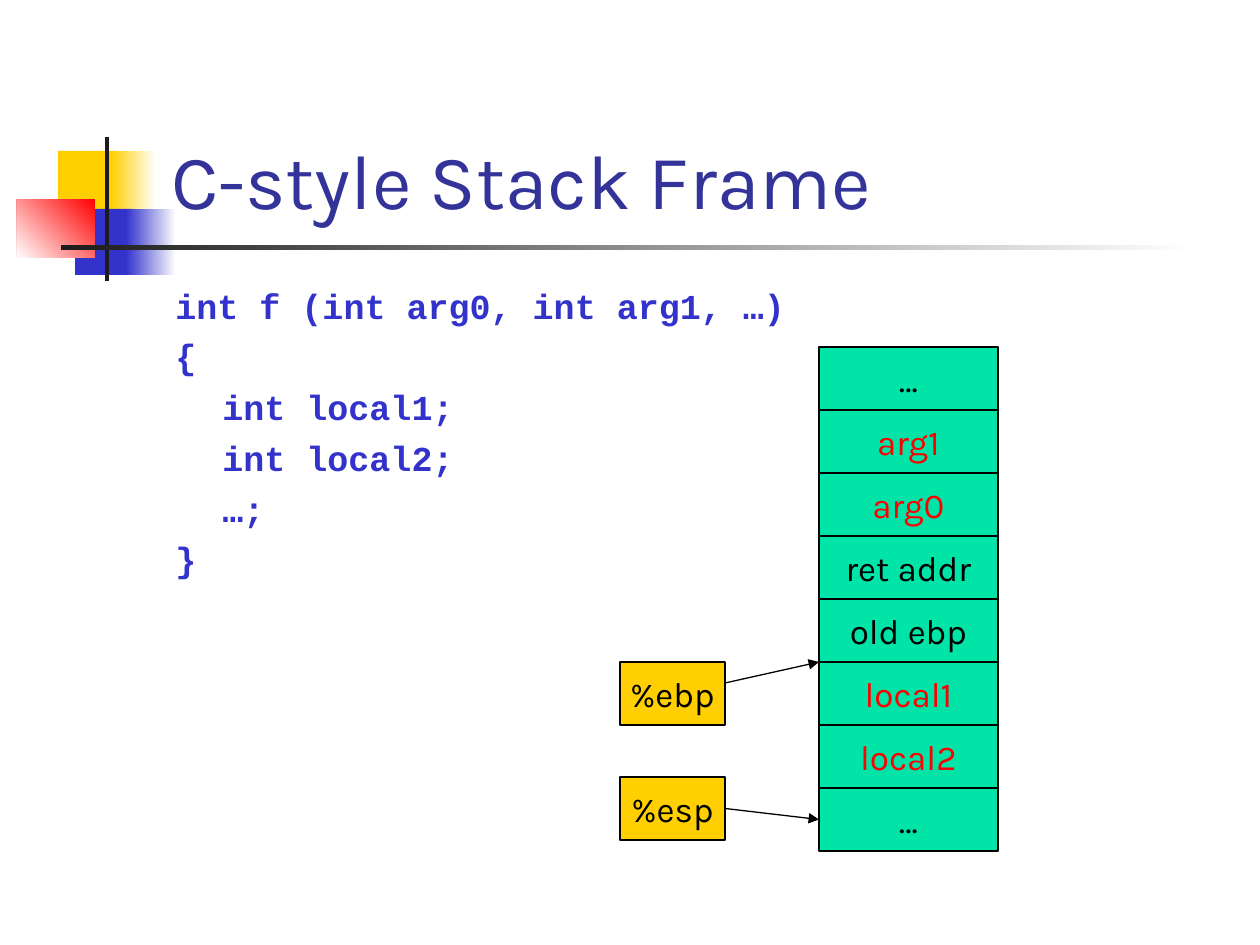
from dataclasses import dataclass
from typing import Optional

import pptx
import pptx.dml.color
import pptx.enum.shapes
import pptx.enum.text
import pptx.oxml
import pptx.oxml.ns
import pptx.util

EMU_PER_PX = 914400 / 126
RECTANGLE = pptx.enum.shapes.MSO_SHAPE.RECTANGLE
STRAIGHT = pptx.enum.shapes.MSO_CONNECTOR.STRAIGHT
ANCHOR = pptx.enum.text.MSO_ANCHOR
CENTER = pptx.enum.text.PP_ALIGN.CENTER
LEFT_SIDE, RIGHT_SIDE = 1, 3


@dataclass(frozen=True)
class Theme:
    white: str = "FFFFFF"
    black: str = "000000"
    ink: str = "1C1C1C"
    red: str = "FF0000"
    yellow: str = "FFCF01"
    blue: str = "3333CC"
    green: str = "00E4A8"
    title: str = "333399"
    font: str = "Karla"
    code_font: str = "Courier New"
    title_size: int = 44
    text_size: int = 20
    code_gap: int = 5
    line_width: float = 0.75


@dataclass(frozen=True)
class Box:
    x: int
    y: int
    w: int
    h: int


@dataclass(frozen=True)
class Block:
    """A decorative block; with an end colour it is a gradient."""
    box: Box
    color: str
    end: Optional[str] = None
    angle: int = 180


@dataclass(frozen=True)
class Label:
    box: Box
    text: str
    fill: str
    color: str


THEME = Theme()

BLOCKS = [
    Block(Box(58, 151, 60, 66), THEME.yellow),
    Block(Box(111, 151, 45, 66), THEME.white, THEME.yellow),
    Block(Box(75, 209, 58, 66), THEME.blue),
    Block(Box(126, 209, 50, 66), THEME.white, THEME.blue),
    Block(Box(17, 199, 78, 59), THEME.red, THEME.white, 225),
    Block(Box(105, 137, 4, 144), THEME.ink),
    Block(Box(61, 245, 1134, 5), THEME.white, THEME.ink),
]

CODE = ["int f (int arg0, int arg1, …)", "{", "\tint local1;", "\tint local2;", "\t…;", "}"]
CODE_INDENT = 47

STACK = Box(819, 347, 179, 63)  # first cell; the others follow below
CELLS = [
    ("…", THEME.black), ("arg1", THEME.red), ("arg0", THEME.red),
    ("ret addr", THEME.black), ("old ebp", THEME.black),
    ("local1", THEME.red), ("local2", THEME.red), ("…", THEME.black),
]
EBP = Box(620, 662, 105, 63)
ESP = Box(620, 777, 105, 63)


def px(n: int) -> pptx.util.Emu:
    return pptx.util.Emu(round(n * EMU_PER_PX))


def place(box: Box) -> tuple:
    return px(box.x), px(box.y), px(box.w), px(box.h)


def rgb(color: str) -> pptx.dml.color.RGBColor:
    return pptx.dml.color.RGBColor.from_string(color)


def style(p, font: str, size: int, color: str, bold: bool = False) -> None:
    p.font.name = font
    p.font.size = pptx.util.Pt(size)
    p.font.bold = bold
    p.font.color.rgb = rgb(color)


def add_block(slide, block: Block) -> None:
    sp = slide.shapes.add_shape(RECTANGLE, *place(block.box))
    sp.shadow.inherit = False
    sp.line.fill.background()
    if block.end is None:
        sp.fill.solid()
        sp.fill.fore_color.rgb = rgb(block.color)
        return
    sp.fill.gradient()
    sp.fill.gradient_angle = block.angle
    for stop, color in zip(sp.fill.gradient_stops, (block.color, block.end)):
        stop.color.rgb = rgb(color)


def add_label(slide, label: Label):
    sp = slide.shapes.add_shape(RECTANGLE, *place(label.box))
    sp.shadow.inherit = False
    sp.fill.solid()
    sp.fill.fore_color.rgb = rgb(label.fill)
    sp.line.color.rgb = rgb(THEME.black)
    sp.line.width = pptx.util.Pt(THEME.line_width)
    tf = sp.text_frame
    tf.word_wrap = False
    tf.vertical_anchor = ANCHOR.MIDDLE
    p = tf.paragraphs[0]
    p.text = label.text
    p.alignment = CENTER
    style(p, THEME.font, THEME.text_size, label.color)
    return sp


def add_text_frame(slide, box: Box, anchor):
    tf = slide.shapes.add_textbox(*place(box)).text_frame
    tf.word_wrap = True
    tf.vertical_anchor = anchor
    return tf


def add_arrow(slide, x1: int, y1: int, x2: int, y2: int):
    cxn = slide.shapes.add_connector(STRAIGHT, px(x1), px(y1), px(x2), px(y2))
    cxn.line.color.rgb = rgb(THEME.black)
    cxn.line.width = pptx.util.Pt(THEME.line_width)
    ns = pptx.oxml.ns.nsdecls("a")
    cxn.line._get_or_add_ln().append(
        pptx.oxml.parse_xml(f'<a:tailEnd {ns} type="triangle"/>'))
    cxn._element.spPr.append(pptx.oxml.parse_xml(f"<a:effectLst {ns}/>"))
    return cxn


def add_code(slide) -> None:
    tf = add_text_frame(slide, Box(163, 278, 1071, 567), ANCHOR.TOP)
    for i, line in enumerate(CODE):
        p = tf.add_paragraph() if i else tf.paragraphs[0]
        p.text = line
        if i:
            p.space_before = pptx.util.Pt(THEME.code_gap)
        # A hanging indent gives the tabs their stop
        pPr = p._p.get_or_add_pPr()
        pPr.set("marL", str(px(CODE_INDENT)))
        pPr.set("indent", str(-px(CODE_INDENT)))
        style(p, THEME.code_font, THEME.text_size, THEME.blue, bold=True)


def main() -> None:
    prs = pptx.Presentation()
    prs.slide_width, prs.slide_height = px(1260), px(945)
    slide = prs.slides.add_slide(prs.slide_layouts[6])

    # Decoration
    for block in BLOCKS:
        add_block(slide, block)

    # Title and code
    tf = add_text_frame(slide, Box(159, 29, 1074, 202), ANCHOR.BOTTOM)
    p = tf.paragraphs[0]
    p.text = "C-style Stack Frame"
    style(p, THEME.font, THEME.title_size, THEME.title)
    add_code(slide)

    # Stack cells
    cells = []
    for i, (text, color) in enumerate(CELLS):
        box = Box(STACK.x, STACK.y + i * STACK.h, STACK.w, STACK.h)
        cells.append(add_label(slide, Label(box, text, THEME.green, color)))

    # Registers and their pointers
    add_label(slide, Label(EBP, "%ebp", THEME.yellow, THEME.black))
    esp = add_label(slide, Label(ESP, "%esp", THEME.yellow, THEME.black))
    add_arrow(slide, EBP.x + EBP.w, EBP.y + EBP.h // 3, STACK.x, EBP.y)
    pointer = add_arrow(slide, ESP.x + ESP.w, ESP.y, STACK.x, ESP.y)
    pointer.begin_connect(esp, RIGHT_SIDE)
    pointer.end_connect(cells[-1], LEFT_SIDE)

    prs.save("out.pptx")


if __name__ == "__main__":
    main()
